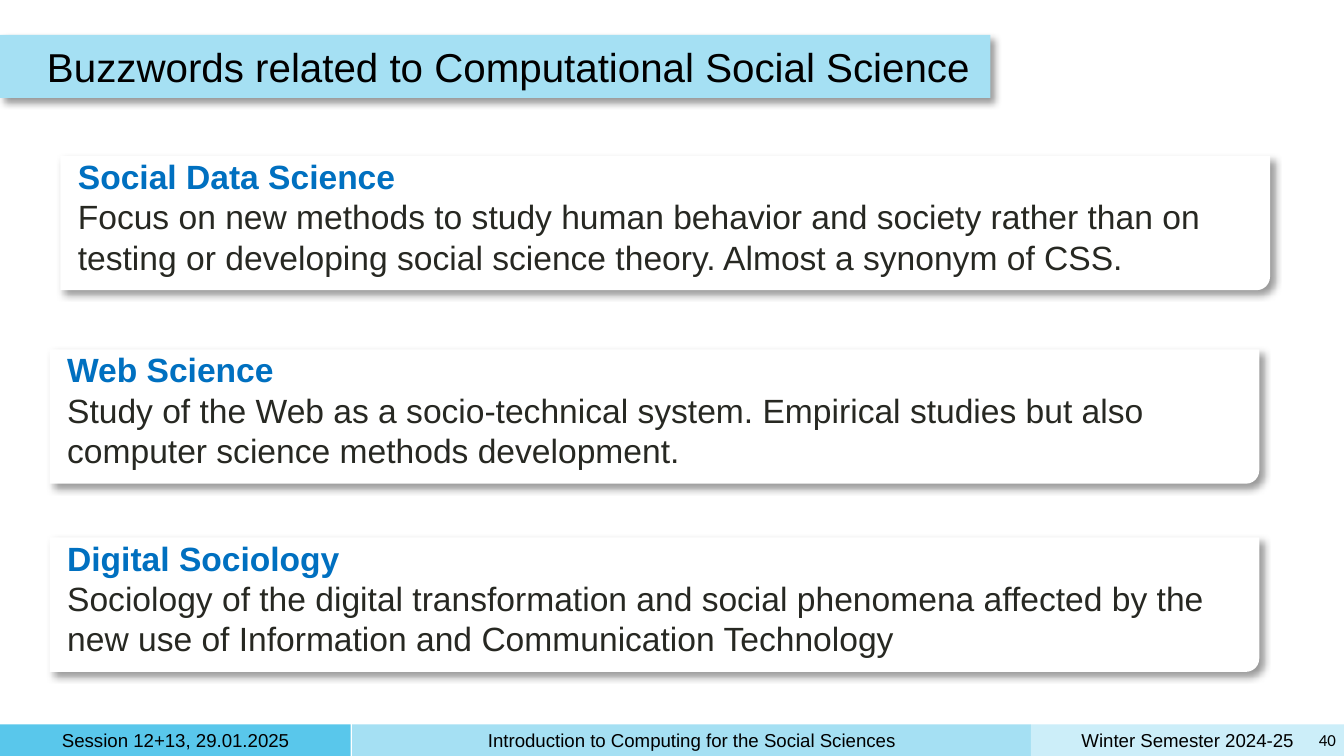
"""Build a slide of buzzwords related to Computational Social Science."""
from lxml.etree import SubElement
from pptx import Presentation
from pptx.dml.color import RGBColor
from pptx.enum.shapes import MSO_SHAPE
from pptx.enum.text import MSO_ANCHOR, PP_ALIGN
from pptx.oxml.ns import qn
from pptx.util import Inches, Pt

BLACK = RGBColor(0x00, 0x00, 0x00)
WHITE = RGBColor(0xFF, 0xFF, 0xFF)
HEADING_BLUE = RGBColor(0x00, 0x70, 0xC0)
BODY_GREY = RGBColor(0x27, 0x28, 0x22)
BAR_DARK = RGBColor(0x59, 0xC7, 0xEB)
BAR_MEDIUM = RGBColor(0xA5, 0xE0, 0xF3)
BAR_LIGHT = RGBColor(0xCC, 0xEE, 0xF9)

PAGE_WIDTH = 10
PAGE_HEIGHT = PAGE_WIDTH * 9 / 16
CARD_WIDTH, CARD_HEIGHT = 9, 1
CARDS = [
    (0.45, 1.16, "Social Data Science",
     "Focus on new methods to study human behavior and society rather than on "
     "testing or developing social science theory. Almost a synonym of CSS."),
    (0.37, 2.6, "Web Science",
     "Study of the Web as a socio-technical system. Empirical studies but also "
     "computer science methods development."),
    (0.37, 4, "Digital Sociology",
     "Sociology of the digital transformation and social phenomena affected by the "
     "new use of Information and Communication Technology"),
]
FOOTER = [
    (0, 2.61, BAR_DARK, "Session 12+13, 29.01.2025"),
    (2.62, 5.05, BAR_MEDIUM, "Introduction to Computing for the Social Sciences"),
    (7.67, 2.33, BAR_LIGHT, "Winter Semester 2024-25"),
]


def apply_format(target, values):
    for name, value in values.items():
        setattr(target, name, value)


def add_block(page, kind, bounds, color):
    block = page.shapes.add_shape(kind, *map(Inches, bounds))
    block.shadow.inherit = False
    block.fill.solid()
    block.fill.fore_color.rgb = color
    block.line.fill.background()
    return block


def add_shadow(block):
    effects = block._element.spPr.find(qn("a:effectLst"))
    shadow = SubElement(effects, qn("a:outerShdw"), {
        "blurRad": str(Pt(4)), "dist": str(Pt(3)), "dir": "2700000",
        "algn": "tl", "rotWithShape": "0"})
    color = SubElement(shadow, qn("a:srgbClr"), val=str(BLACK))
    SubElement(color, qn("a:alpha"), val="40000")


def set_frame(frame, anchor=MSO_ANCHOR.MIDDLE):
    margins = ("margin_left", "margin_top", "margin_right", "margin_bottom")
    apply_format(frame, {"word_wrap": True, "vertical_anchor": anchor,
                         **dict.fromkeys(margins, Inches(0.05))})


def write(para, text, size, color=BLACK, align=PP_ALIGN.LEFT, bold=False, font="Arial"):
    para.alignment = align
    span = para.add_run()
    span.text = text
    apply_format(span.font, {"name": font, "size": Pt(size), "bold": bold})
    span.font.color.rgb = color


def add_text(page, bounds, text, size, **style):
    box = page.shapes.add_textbox(*map(Inches, bounds))
    set_frame(box.text_frame)
    write(box.text_frame.paragraphs[0], text, size, **style)


def add_footer(page):
    for left, width, color, text in FOOTER:
        bar = add_block(page, MSO_SHAPE.RECTANGLE, (left, 5.39, width, 0.24), color)
        set_frame(bar.text_frame)
        write(bar.text_frame.paragraphs[0], text, 10, align=PP_ALIGN.CENTER)
    add_text(page, (9.75, 5.38, 0.24, 0.25), "40", 9,
             align=PP_ALIGN.RIGHT, font="Calibri")


def add_title(page):
    bar = add_block(page, MSO_SHAPE.RECTANGLE, (0, 0.26, 7.37, 0.47), BAR_MEDIUM)
    add_shadow(bar)
    add_text(page, (0.3, 0.26, 8.7, 0.47),
             "Buzzwords related to Computational Social Science", 21.6)


def add_card(page, left, top, heading, body):
    card = add_block(page, MSO_SHAPE.ROUND_1_RECTANGLE,
                     (left, top, CARD_WIDTH, CARD_HEIGHT), WHITE)
    card.adjustments[0] = 0.1
    card._element.spPr.xfrm.set("flipV", "1")
    add_shadow(card)
    box = page.shapes.add_textbox(*map(Inches, (left + 0.08, top - 0.05, 8.84, 1.01)))
    frame = box.text_frame
    set_frame(frame, MSO_ANCHOR.TOP)
    write(frame.paragraphs[0], heading, 18, HEADING_BLUE, bold=True)
    write(frame.add_paragraph(), body, 18, BODY_GREY)


def main():
    deck = Presentation()
    apply_format(deck, {"slide_width": Inches(PAGE_WIDTH),
                        "slide_height": Inches(PAGE_HEIGHT)})
    page = deck.slides.add_slide(deck.slide_layouts[6])
    add_footer(page)
    add_title(page)
    for card in CARDS:
        add_card(page, *card)
    deck.save("out.pptx")


if __name__ == "__main__":
    main()
